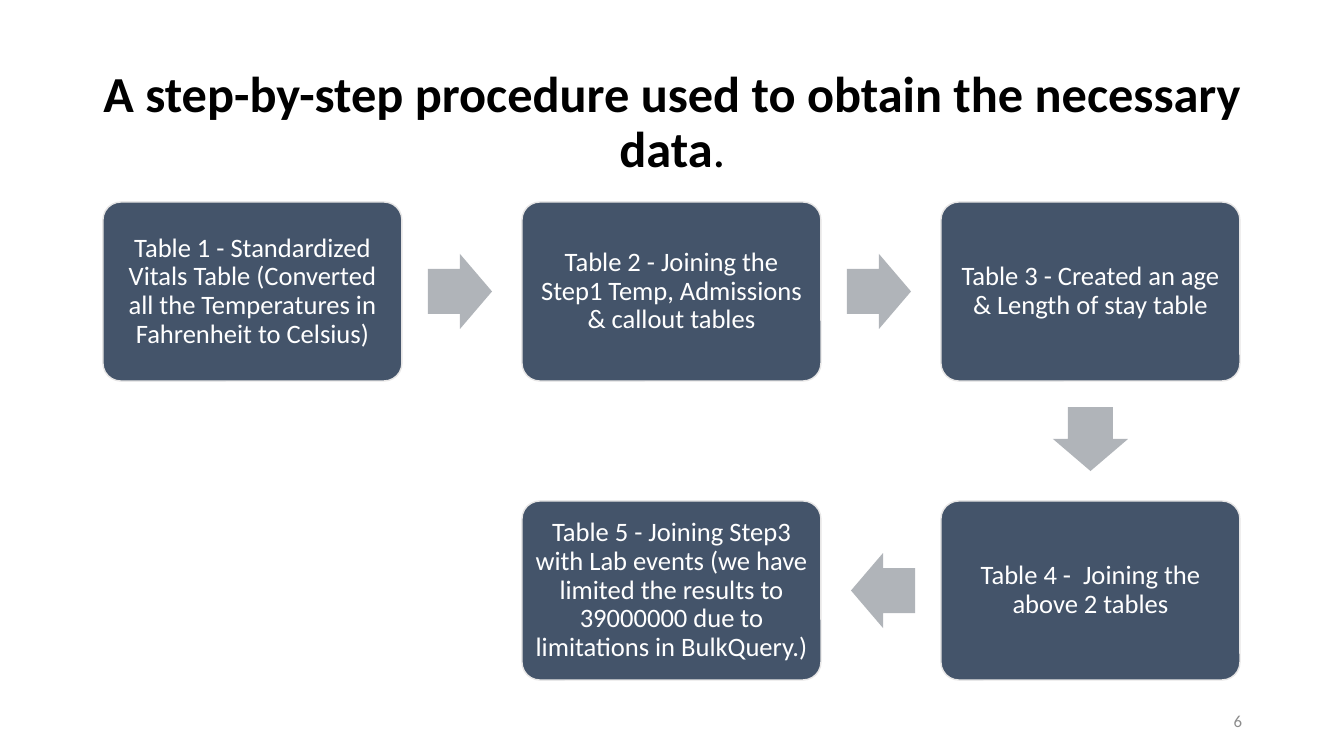
import math

from pptx import Presentation, util
from pptx.dml.color import RGBColor
from pptx.enum import shapes, text

EMU_PER_PX = 914400 / 100.8
BOX_WIDTH, BOX_HEIGHT = 299, 179
ARROW_LENGTH, ARROW_BREADTH = 64, 75
GAP = 26  # between a box and the arrow leaving it


def px(*lengths):
    """Turn px into EMU."""
    return [util.Emu(round(length * EMU_PER_PX)) for length in lengths]


def format_font(font, size, color, bold=False):
    values = {"name": "Calibri", "size": util.Pt(size), "bold": bold}
    for attribute, value in values.items():
        setattr(font, attribute, value)
    font.color.rgb = RGBColor.from_string(color)


presentation = Presentation()
presentation.slide_width, presentation.slide_height = px(1344, 756)
slide = presentation.slides.add_slide(presentation.slide_layouts[5])

# Title
title = slide.shapes.title
title.left, title.top, title.width, title.height = px(93, 61, 1159, 125)
title.text_frame.vertical_anchor = text.MSO_ANCHOR.MIDDLE
title.text_frame.auto_size = text.MSO_AUTO_SIZE.NONE
paragraph = title.text_frame.paragraphs[0]
paragraph.alignment = text.PP_ALIGN.CENTER
paragraph.line_spacing = 0.9
for words, bold in [
    ("A step-by-step procedure used to obtain the necessary data", True),
    (".", False),
]:
    run = paragraph.add_run()
    run.text = words
    format_font(run.font, 36, "000000", bold)

# Steps: column, row, wording
steps = [
    (0, 0, "Table 1 - Standardized Vitals Table (Converted all the "
           "Temperatures in Fahrenheit to Celsius)"),
    (1, 0, "Table 2 - Joining the Step1 Temp, Admissions & callout tables"),
    (2, 0, "Table 3 - Created an age & Length of stay table"),
    (2, 1, "Table 4 -  Joining the above 2 tables"),
    (1, 1, "Table 5 - Joining Step3 with Lab events (we have limited the "
           "results to 39000000 due to limitations in BulkQuery.)"),
]
for index, (column, row, words) in enumerate(steps):
    left, top = 103 + 419 * column, 202 + 299 * row
    box = slide.shapes.add_shape(
        shapes.MSO_SHAPE.ROUNDED_RECTANGLE, *px(left, top, BOX_WIDTH, BOX_HEIGHT))
    box.adjustments[0] = 0.1
    box.shadow.inherit = False
    box.fill.solid()
    box.fill.fore_color.rgb = RGBColor.from_string("44546A")
    box.line.color.rgb = RGBColor.from_string("E7E6E6")
    box.line.width = util.Pt(1)
    frame = box.text_frame
    frame.word_wrap = True
    frame.vertical_anchor = text.MSO_ANCHOR.MIDDLE
    for side in ("left", "top", "right", "bottom"):
        setattr(frame, f"margin_{side}", px(8)[0])
    paragraph = frame.paragraphs[0]
    paragraph.text = words
    paragraph.alignment = text.PP_ALIGN.CENTER
    paragraph.line_spacing = 0.9
    format_font(paragraph.runs[0].font, 19, "FFFFFF")

    # Arrow towards the next step
    if index + 1 < len(steps):
        next_column, next_row, _ = steps[index + 1]
        across, down = next_column - column, next_row - row
        reach = GAP + ARROW_LENGTH / 2
        center_x = left + BOX_WIDTH / 2 + across * (BOX_WIDTH / 2 + reach)
        center_y = top + BOX_HEIGHT / 2 + down * (BOX_HEIGHT / 2 + reach)
        arrow = slide.shapes.add_shape(
            shapes.MSO_SHAPE.RIGHT_ARROW,
            *px(center_x - ARROW_LENGTH / 2, center_y - ARROW_BREADTH / 2,
                ARROW_LENGTH, ARROW_BREADTH))
        arrow.adjustments[0], arrow.adjustments[1] = 0.6, 0.5
        arrow.rotation = math.degrees(math.atan2(down, across))
        arrow.shadow.inherit = False
        arrow.fill.solid()
        arrow.fill.fore_color.rgb = RGBColor.from_string("B0B4B9")
        arrow.line.fill.background()

# Page number
page_number = slide.shapes.add_textbox(*px(950, 701, 302, 40))
page_number.text_frame.word_wrap = True
page_number.text_frame.vertical_anchor = text.MSO_ANCHOR.MIDDLE
paragraph = page_number.text_frame.paragraphs[0]
paragraph.text = "6"
paragraph.alignment = text.PP_ALIGN.RIGHT
format_font(paragraph.runs[0].font, 12, "8C8C8C")

presentation.save("out.pptx")
